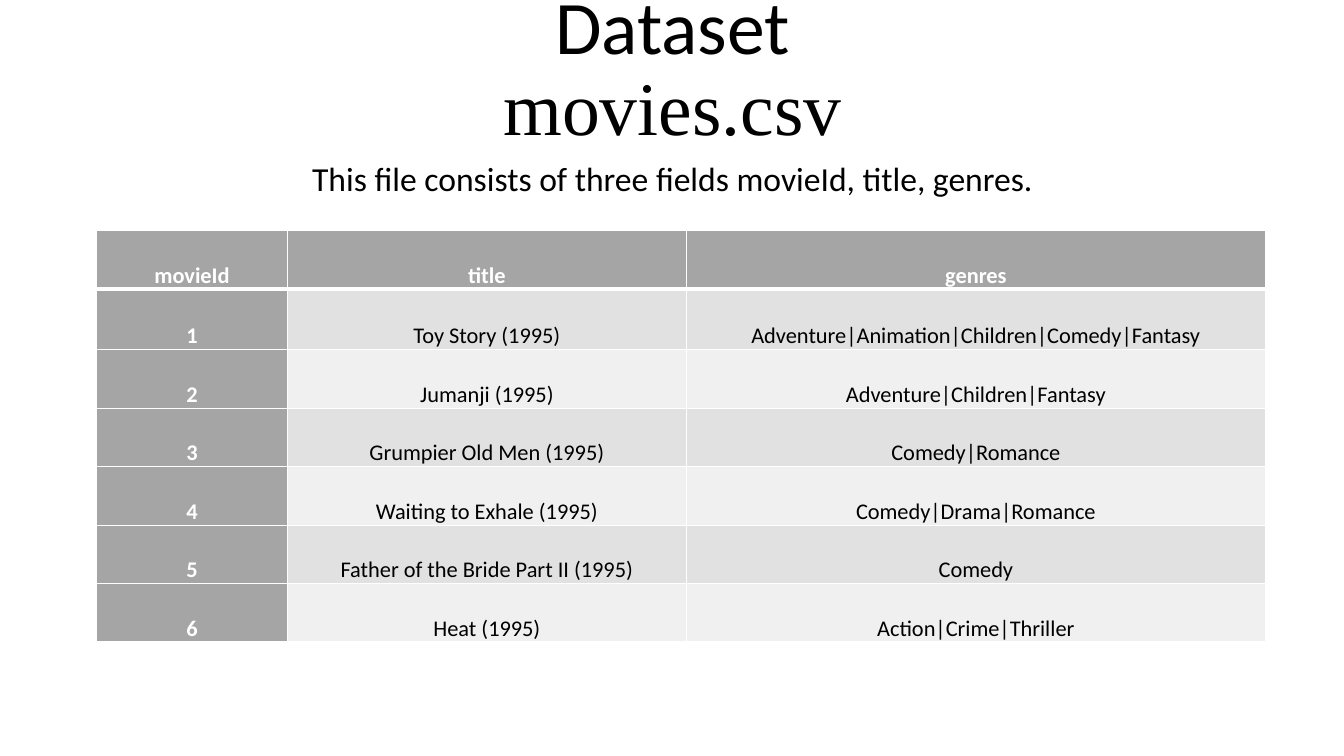
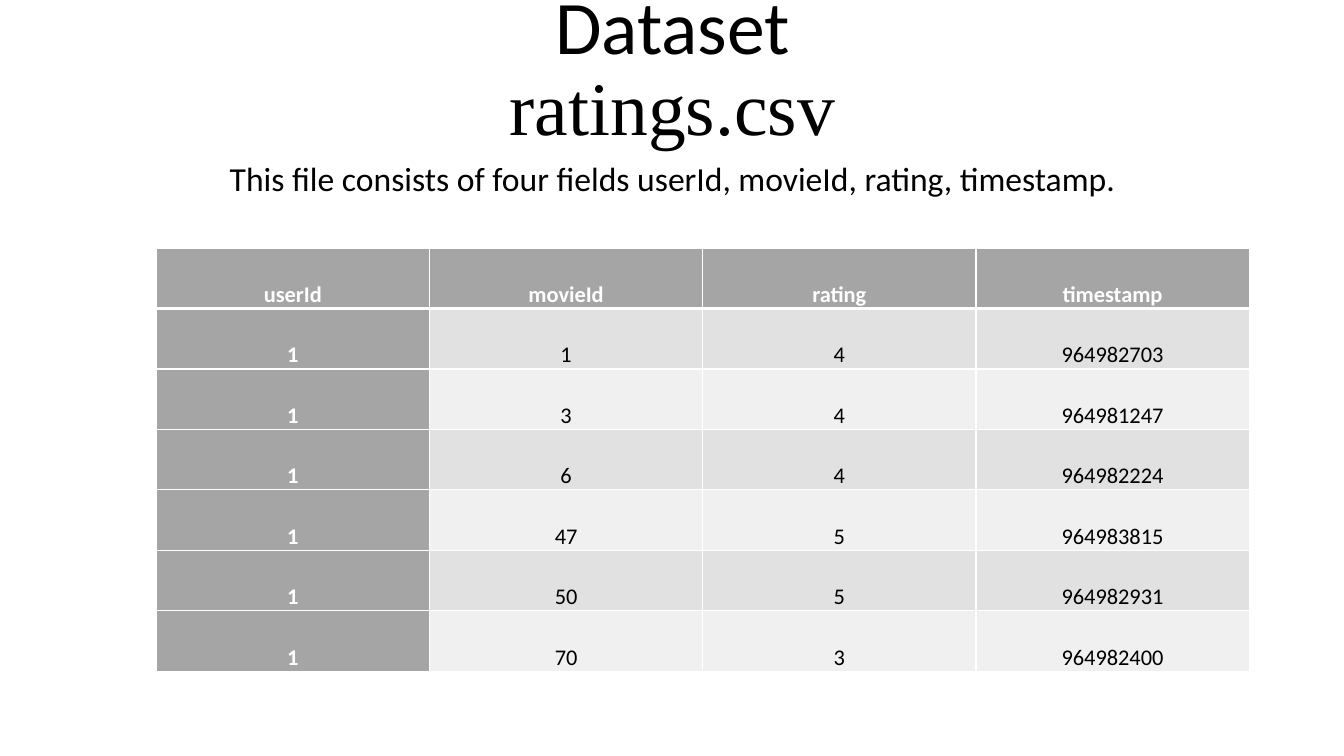
import pptx
import pptx.util
import pptx.dml.color
import pptx.enum.text
import pptx.oxml
import pptx.oxml.ns

Inches = pptx.util.Inches
Pt = pptx.util.Pt
ANCHOR = pptx.enum.text.MSO_ANCHOR
CENTER = pptx.enum.text.PP_ALIGN.CENTER
COLORS = {"text": "000000", "light": "FFFFFF", "head": "A5A5A5",
          "odd": "E1E1E1", "even": "F0F0F0"}
SANS, SERIF = "Calibri", "Times New Roman"

MOVIES = [
    ("movieId", "title", "genres"),
    ("1", "Toy Story (1995)", "Adventure|Animation|Children|Comedy|Fantasy"),
    ("2", "Jumanji (1995)", "Adventure|Children|Fantasy"),
    ("3", "Grumpier Old Men (1995)", "Comedy|Romance"),
    ("4", "Waiting to Exhale (1995)", "Comedy|Drama|Romance"),
    ("5", "Father of the Bride Part II (1995)", "Comedy"),
    ("6", "Heat (1995)", "Action|Crime|Thriller"),
]
RATINGS = [
    ("userId", "movieId", "rating", "timestamp"),
    ("1", "1", "4", "964982703"),
    ("1", "3", "4", "964981247"),
    ("1", "6", "4", "964982224"),
    ("1", "47", "5", "964983815"),
    ("1", "50", "5", "964982931"),
    ("1", "70", "3", "964982400"),
]


def paint(name):
    """Return the named colour."""
    return pptx.dml.color.RGBColor.from_string(COLORS[name])


def add_run(para, text, size, font=SANS, color="text", bold=False):
    """Add one styled run to a paragraph."""
    run = para.add_run()
    run.text = text
    run.font.size = Pt(size)
    run.font.name = font
    run.font.bold = bold
    run.font.color.rgb = paint(color)


def set_holder(shape, top, height, anchor):
    """Place a placeholder and return its centred paragraph."""
    shape.left, shape.top = Inches(1.67), Inches(top)
    shape.width, shape.height = Inches(10), Inches(height)
    frame = shape.text_frame
    frame.word_wrap = True
    frame.auto_size = pptx.enum.text.MSO_AUTO_SIZE.NONE
    frame.vertical_anchor = anchor
    para = frame.paragraphs[0]
    para.alignment = CENTER
    para.line_spacing = 0.9
    return para


def add_page(deck, file, note):
    """Add a slide with its two-line title and its note."""
    slide = deck.slides.add_slide(deck.slide_layouts[0])
    title = slide.shapes.title
    para = set_holder(title, 1.43, 1.03, ANCHOR.BOTTOM)
    para.space_before = Pt(0)
    title.text_frame.margin_top = 0
    title.text_frame.margin_bottom = Inches(0.95)
    add_run(para, "Dataset", 54)
    para.add_line_break()
    add_run(para, file, 54, SERIF)
    para = set_holder(slide.placeholders[1], 1.56, 1.81, ANCHOR.TOP)
    para.space_before = Pt(10)
    add_run(para, note, 24)
    return slide


def set_edge(cell, side, width):
    """Add a white border to one side of a cell."""
    line = pptx.oxml.parse_xml(
        f'<a:ln{side} {pptx.oxml.ns.nsdecls("a")} w="{Pt(width)}"><a:solidFill>'
        f'<a:srgbClr val="{COLORS["light"]}"/></a:solidFill></a:ln{side}>')
    cell._tc.get_or_add_tcPr().append(line)


def set_cell(cell, text, row, col):
    """Fill one cell by its place in the grid."""
    head = row == 0 or col == 0
    thick = {(0, "B"), (1, "T")}
    for side in "LRTB":
        set_edge(cell, side, 3 if (row, side) in thick else 1)
    cell.fill.solid()
    cell.fill.fore_color.rgb = paint("head" if head else "odd" if row % 2 else "even")
    cell.vertical_anchor = ANCHOR.BOTTOM
    cell.margin_left = cell.margin_right = Inches(0.07)
    cell.margin_top = cell.margin_bottom = 0
    para = cell.text_frame.paragraphs[0]
    para.alignment = CENTER
    para.line_spacing = 1.5
    add_run(para, text, 16, color="light" if head else "text", bold=head)


def add_grid(slide, data, left, top, widths, heights):
    """Add a table with a grey head row and first column."""
    frame = slide.shapes.add_table(
        len(data), len(widths), Inches(left), Inches(top),
        Inches(sum(widths)), Inches(sum(heights)))
    table = frame.table
    table.first_col = True
    for col, width in zip(table.columns, widths):
        col.width = Inches(width)
    for row, height in zip(table.rows, heights):
        row.height = Inches(height)
    for i, line in enumerate(data):
        for j, text in enumerate(line):
            set_cell(table.cell(i, j), text, i, j)


def main():
    """Build and save the deck."""
    deck = pptx.Presentation()
    deck.slide_width, deck.slide_height = Inches(13.33), Inches(7.5)
    slide = add_page(deck, "movies.csv",
                     "This file consists of three fields movieId, title, genres.")
    add_grid(slide, MOVIES, 0.96, 2.29, [1.89, 3.96, 5.74], [0.58, 0.6] + [0.58] * 5)
    slide = add_page(deck, "ratings.csv",
                     "This file consists of four fields userId, movieId, rating, timestamp.")
    add_grid(slide, RATINGS, 1.55, 2.46, [2.71] * 4, [0.6] * 7)
    deck.save("out.pptx")


if __name__ == "__main__":
    main()
